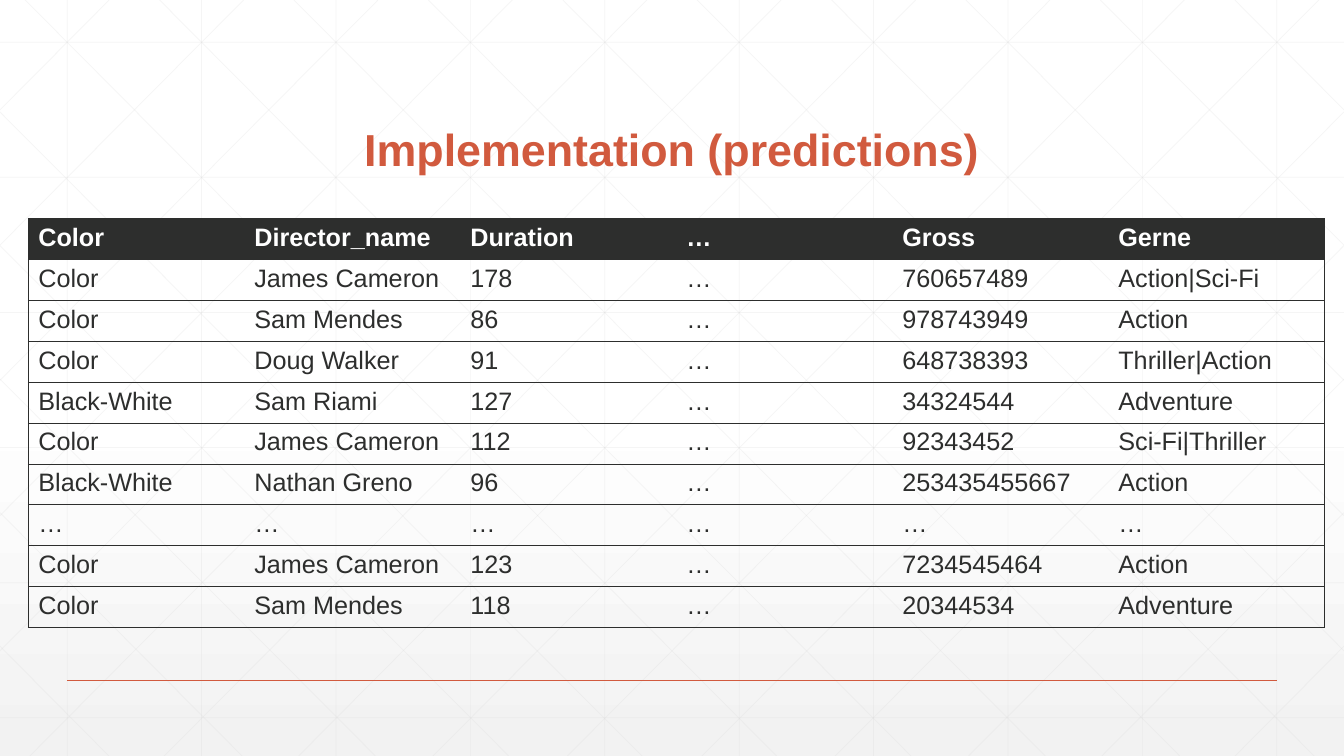
from lxml.etree import SubElement
from pptx import Presentation
from pptx.dml.color import RGBColor
from pptx.enum.shapes import MSO_CONNECTOR
from pptx.enum.text import MSO_ANCHOR, MSO_AUTO_SIZE, PP_ALIGN
from pptx.oxml import parse_xml
from pptx.oxml.ns import nsdecls, qn
from pptx.util import Pt

WIDTH, HEIGHT = 960, 540
ORANGE = RGBColor(0xD1, 0x5A, 0x3E)
DARK = RGBColor(0x2D, 0x2E, 0x2D)
WHITE = RGBColor(0xFF, 0xFF, 0xFF)
PALE_GRAY = RGBColor(0xF2, 0xF2, 0xF2)
GRID_GRAY = RGBColor(0xD9, 0xD9, 0xD9)

TITLE_FONT = {"name": "Arial", "size": Pt(32), "bold": True}
HEADER_FONT = {"name": "Arial", "size": Pt(18), "bold": True}
BODY_FONT = {"name": "Arial", "size": Pt(18), "bold": False}

GRID_STEP = 96
DIAGONAL_RUN = 536.7

MOVIES = [
    ("Color", "Director_name", "Duration", "…", "Gross", "Gerne"),
    ("Color", "James Cameron", "178", "…", "760657489", "Action|Sci-Fi"),
    ("Color", "Sam Mendes", "86", "…", "978743949", "Action"),
    ("Color", "Doug Walker", "91", "…", "648738393", "Thriller|Action"),
    ("Black-White", "Sam Riami", "127", "…", "34324544", "Adventure"),
    ("Color", "James Cameron", "112", "…", "92343452", "Sci-Fi|Thriller"),
    ("Black-White", "Nathan Greno", "96", "…", "253435455667", "Action"),
    ("…",) * 6,
    ("Color", "James Cameron", "123", "…", "7234545464", "Action"),
    ("Color", "Sam Mendes", "118", "…", "20344534", "Adventure"),
]


def set_font(font, values, color):
    for name, value in values.items():
        setattr(font, name, value)
    font.color.rgb = color


def set_background(slide):
    fill = slide.background.fill
    fill.gradient()
    fill.gradient_angle = 270
    for stop, position, color in zip(fill.gradient_stops, (0.53, 1), (WHITE, PALE_GRAY)):
        stop.position = position
        stop.color.rgb = color


def add_line(slide, start, end, color, width, opacity=100):
    points = [Pt(value) for value in (*start, *end)]
    connector = slide.shapes.add_connector(MSO_CONNECTOR.STRAIGHT, *points)
    connector.line.color.rgb = color
    connector.line.width = Pt(width)
    properties = connector.element.spPr
    SubElement(properties, qn("a:effectLst"))
    if opacity < 100:
        for color_element in properties.iter(qn("a:srgbClr")):
            SubElement(color_element, qn("a:alpha")).set("val", str(opacity * 1000))


def grid_lines():
    """Yield the ends of the upright, level and mirrored diagonal lines."""
    for column in range(10):
        x = 48 + GRID_STEP * column
        yield (x, 0), (x, HEIGHT)
    for row in range(6):
        y = 30.2 + 96.5 * row
        yield (0, y), (WIDTH, y)
    diagonals = []
    for column in range(10):
        x = 18 + GRID_STEP * column
        run = min(DIAGONAL_RUN, WIDTH - x)
        diagonals.append(((x, 0), (x + run, run * HEIGHT / DIAGONAL_RUN)))
    for row in range(5):
        diagonals.append(((458.6 - 95.2 * row, HEIGHT), (0, 80 + 95.4 * row)))
    for start, end in diagonals:
        yield start, end
        yield (WIDTH - start[0], start[1]), (WIDTH - end[0], end[1])


def format_title(slide, text):
    title = slide.shapes.title
    title.left, title.top, title.width, title.height = Pt(102), Pt(39.6), Pt(756), Pt(90)
    frame = title.text_frame
    frame.text = text
    frame.word_wrap = True
    frame.auto_size = MSO_AUTO_SIZE.NONE
    frame.vertical_anchor = MSO_ANCHOR.BOTTOM
    paragraph = frame.paragraphs[0]
    paragraph.alignment = PP_ALIGN.CENTER
    paragraph.line_spacing = 0.9
    set_font(paragraph.runs[0].font, TITLE_FONT, ORANGE)
    title.element.getparent().append(title.element)  # in front of the grid


def set_borders(cell, visible_sides):
    properties = cell._tc.get_or_add_tcPr()
    for index, side in enumerate("LRTB"):
        paint = "<a:noFill/>"
        if side in visible_sides:
            paint = f'<a:solidFill><a:srgbClr val="{DARK}"/></a:solidFill>'
        border = f'<a:ln{side} {nsdecls("a")} w="{Pt(0.5)}">{paint}</a:ln{side}>'
        properties.insert(index, parse_xml(border))


def add_movie_table(slide, rows):
    column_count = len(rows[0])
    frame = slide.shapes.add_table(
        len(rows), column_count, Pt(20.2), Pt(156.2), Pt(925.8), Pt(292))
    table = frame.table
    table.first_row = table.horz_banding = False
    for row_index, values in enumerate(rows):
        for column_index, value in enumerate(values):
            cell = table.cell(row_index, column_index)
            cell.text = value
            font = cell.text_frame.paragraphs[0].runs[0].font
            if row_index == 0:
                cell.fill.solid()
                cell.fill.fore_color.rgb = DARK
                set_font(font, HEADER_FONT, WHITE)
            else:
                cell.fill.background()
                set_font(font, BODY_FONT, DARK)
            sides = "TB"
            if column_index == 0:
                sides += "L"
            if column_index == column_count - 1:
                sides += "R"
            set_borders(cell, sides)


def main():
    presentation = Presentation()
    presentation.slide_width, presentation.slide_height = Pt(WIDTH), Pt(HEIGHT)
    slide = presentation.slides.add_slide(presentation.slide_layouts[5])
    set_background(slide)
    for start, end in grid_lines():
        add_line(slide, start, end, GRID_GRAY, 0.5, opacity=25)
    add_line(slide, (48, 486), (912, 486), ORANGE, 1)
    format_title(slide, "Implementation (predictions)")
    add_movie_table(slide, MOVIES)
    presentation.save("out.pptx")


if __name__ == "__main__":
    main()
